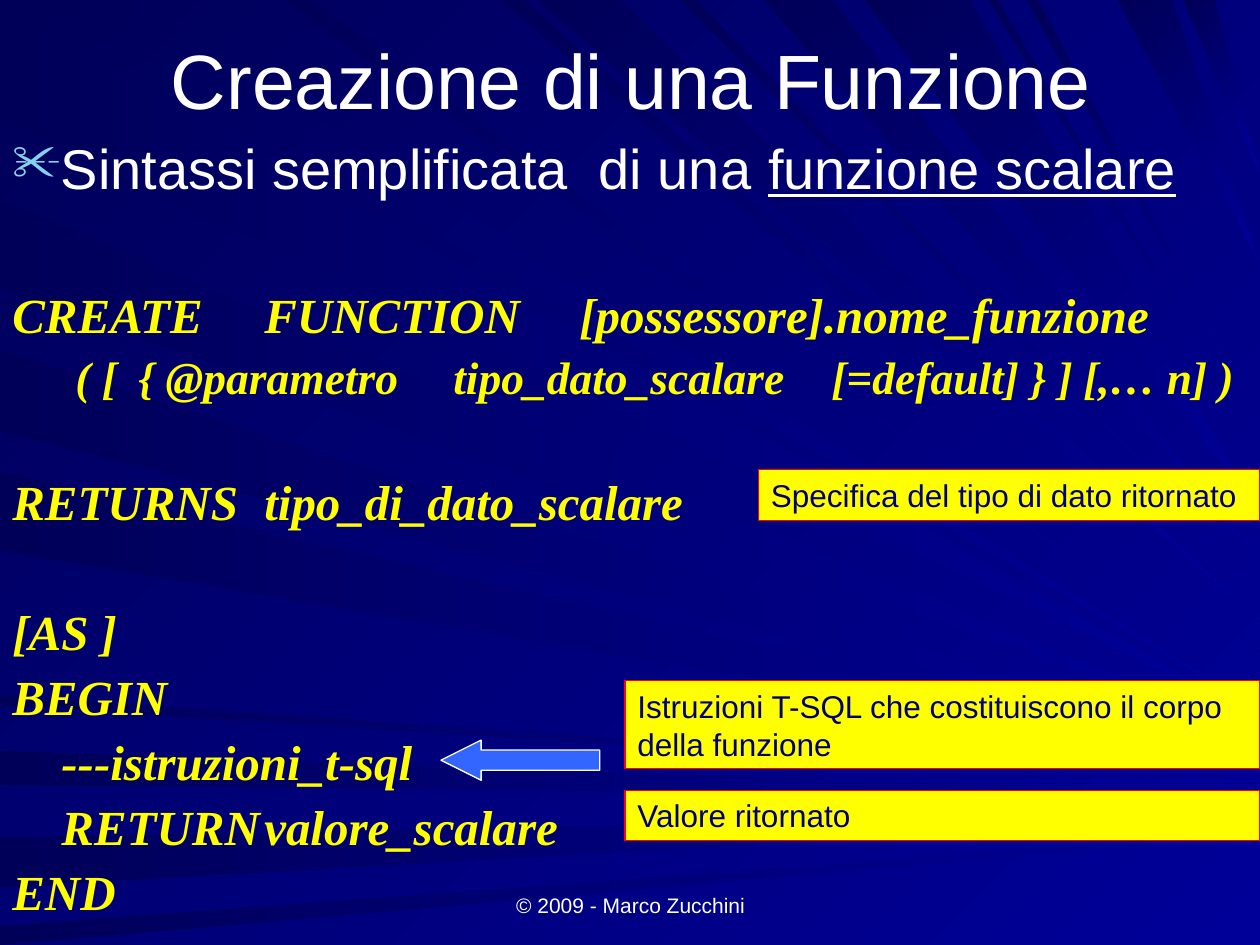
"""Build the slide on the syntax of a scalar function over a blue background of rays."""
from lxml.etree import SubElement
from pptx import Presentation
from pptx.dml.color import RGBColor
from pptx.enum.shapes import MSO_SHAPE
from pptx.enum.text import MSO_ANCHOR, PP_ALIGN
from pptx.oxml.ns import qn
from pptx.util import Cm, Pt

WHITE = RGBColor(0xFF, 0xFF, 0xFF)
YELLOW = RGBColor(0xFF, 0xFF, 0x00)
RED = RGBColor(0xFF, 0x00, 0x00)
NAVY = RGBColor(0x00, 0x00, 0x80)
ARROW_BLUE = RGBColor(0x33, 0x66, 0xFF)
NIGHT = RGBColor(0x00, 0x00, 0x58)
ROYAL = RGBColor(0x00, 0x00, 0x99)
RAY_UNIT = Cm(0.0254)
RIGHT_EDGE = 1000

LEFT_RAYS = [(2, 93, 570), (159, 228, 585), (278, 342, 600), (374, 437, 605),
             (552, 560, 622), (596, 623, 632), (665, 704, 647), (735, 750, 662)]
TOP_RAYS = [(26, 101, 563), (225, 247, 550), (398, 416, 518), (426, 492, 493),
            (540, 552, 463), (606, 661, 446), (686, 770, 409), (785, 792, 357),
            (815, 824, 335), (887, 930, 210), (939, 964, 140)]

CODE_LINES = [
    ("CREATE\tFUNCTION\t[possessore].nome_funzione", 28, 0, 51, [4.83, 11.23]),
    ("( [\t{ @parametro\ttipo_dato_scalare\t[=default] } ]\t[,… n] )", 26, 1.27, 6.5,
     [2.59, 8.49, 16.1, 21.42]),
    ("RETURNS\ttipo_di_dato_scalare", 28, 0, 42, [5.29]),
    ("[AS ]", 28, 0, 44, []),
    ("BEGIN", 28, 0, 7, []),
    ("---istruzioni_t-sql", 28, 0.99, 7, []),
    ("RETURN\tvalore_scalare", 28, 0.99, 7, [5.49]),
    ("END", 28, 0, 7, []),
]

CALLOUTS = [
    ("Istruzioni T-SQL che costituiscono il corpo della funzione", 12.6, 13.72, 1.78),
    ("Valore ritornato", 12.6, 15.93, 1.02),
    ("Specifica del tipo di dato ritornato", 15.29, 9.47, 1.02),
]


def add_span(para, text, size, color, font="Arial"):
    span = para.add_run()
    span.text = text
    span.font.size = Pt(size)
    span.font.name = font
    span.font.color.rgb = color
    return span


def fill_gradient(fill, start, end, angle):
    fill.gradient()
    fill.gradient_angle = (360 - angle) % 360
    for stop, color in zip(fill.gradient_stops, (start, end)):
        stop.color.rgb = color


deck = Presentation()
deck.slide_width, deck.slide_height = Cm(25.4), Cm(19.05)
page = deck.slides.add_slide(deck.slide_layouts[5])
fill_gradient(page.background.fill, NIGHT, ROYAL, 45)

ray_group = page.shapes.add_group_shape()
for rays, across, down, angle in ((LEFT_RAYS, 0, 1, 0), (TOP_RAYS, 1, 0, 45)):
    for near, far, tip in rays:
        builder = ray_group.shapes.build_freeform(near * across, near * down, scale=RAY_UNIT)
        builder.add_line_segments([(far * across, far * down), (RIGHT_EDGE, tip)], close=True)
        ray = builder.convert_to_shape()
        ray.shadow.inherit = False
        ray.line.fill.background()
        fill_gradient(ray.fill, NIGHT, ROYAL, angle)
page.shapes.element.insert(2, ray_group.element)

footer = page.shapes.add_textbox(Cm(8.69), Cm(17.35), Cm(8.05), Cm(1.27))
footer.text_frame.word_wrap = True
footer.text_frame.vertical_anchor = MSO_ANCHOR.BOTTOM
para = footer.text_frame.paragraphs[0]
para.alignment = PP_ALIGN.CENTER
add_span(para, "© 2009 - Marco Zucchini", 12, WHITE)

title = page.shapes.title
title.left, title.top, title.width, title.height = Cm(1.3), Cm(0), Cm(22.86), Cm(3.18)
title.text_frame.vertical_anchor = MSO_ANCHOR.MIDDLE
para = title.text_frame.paragraphs[0]
para.alignment = PP_ALIGN.CENTER
add_span(para, "Creazione di una Funzione", 44, WHITE)

body = page.shapes.add_textbox(Cm(0), Cm(2.72), Cm(25.4), Cm(16))
body.text_frame.word_wrap = True
para = body.text_frame.paragraphs[0]
para.line_spacing = 0.9
para.space_before = Pt(8)
add_span(para, "Sintassi semplificata  di una ", 32, WHITE)
add_span(para, "funzione scalare", 32, WHITE).font.underline = True
properties = para._p.get_or_add_pPr()
properties.set("marL", str(Cm(0.97)))
properties.set("indent", str(Cm(-0.97)))
bullet_color = SubElement(properties, qn("a:buClr"))
SubElement(bullet_color, qn("a:srgbClr"), val="86D1EC")
SubElement(properties, qn("a:buSzPct"), val="90000")
SubElement(properties, qn("a:buChar"), char="✂")

for text, size, indent, gap, stops in CODE_LINES:
    para = body.text_frame.add_paragraph()
    para.line_spacing = 0.9
    para.space_before = Pt(gap)
    span = add_span(para, text, size, YELLOW, "Times New Roman")
    span.font.bold = span.font.italic = True
    properties = para._p.get_or_add_pPr()
    properties.set("marL", "0")
    properties.set("indent", str(Cm(indent)))
    tab_list = SubElement(properties, qn("a:tabLst"))
    for stop in stops:
        SubElement(tab_list, qn("a:tab"), pos=str(Cm(stop)), algn="l")

for text, left, top, height in CALLOUTS:
    callout = page.shapes.add_shape(
        MSO_SHAPE.RECTANGLE, Cm(left), Cm(top), deck.slide_width - Cm(left), Cm(height))
    callout.shadow.inherit = False
    callout.fill.solid()
    callout.fill.fore_color.rgb = YELLOW
    callout.line.color.rgb = RED
    callout.line.width = Pt(0.75)
    callout.text_frame.word_wrap = True
    callout.text_frame.vertical_anchor = MSO_ANCHOR.TOP
    para = callout.text_frame.paragraphs[0]
    para.alignment = PP_ALIGN.LEFT
    add_span(para, text, 18, NAVY)

arrow = page.shapes.add_shape(MSO_SHAPE.LEFT_ARROW, Cm(8.89), Cm(14.92), Cm(3.2), Cm(0.81))
arrow.adjustments[0], arrow.adjustments[1] = 0.5, 1
arrow.shadow.inherit = False
arrow.fill.solid()
arrow.fill.fore_color.rgb = ARROW_BLUE
arrow.line.color.rgb = WHITE
arrow.line.width = Pt(0.75)

deck.save("out.pptx")
